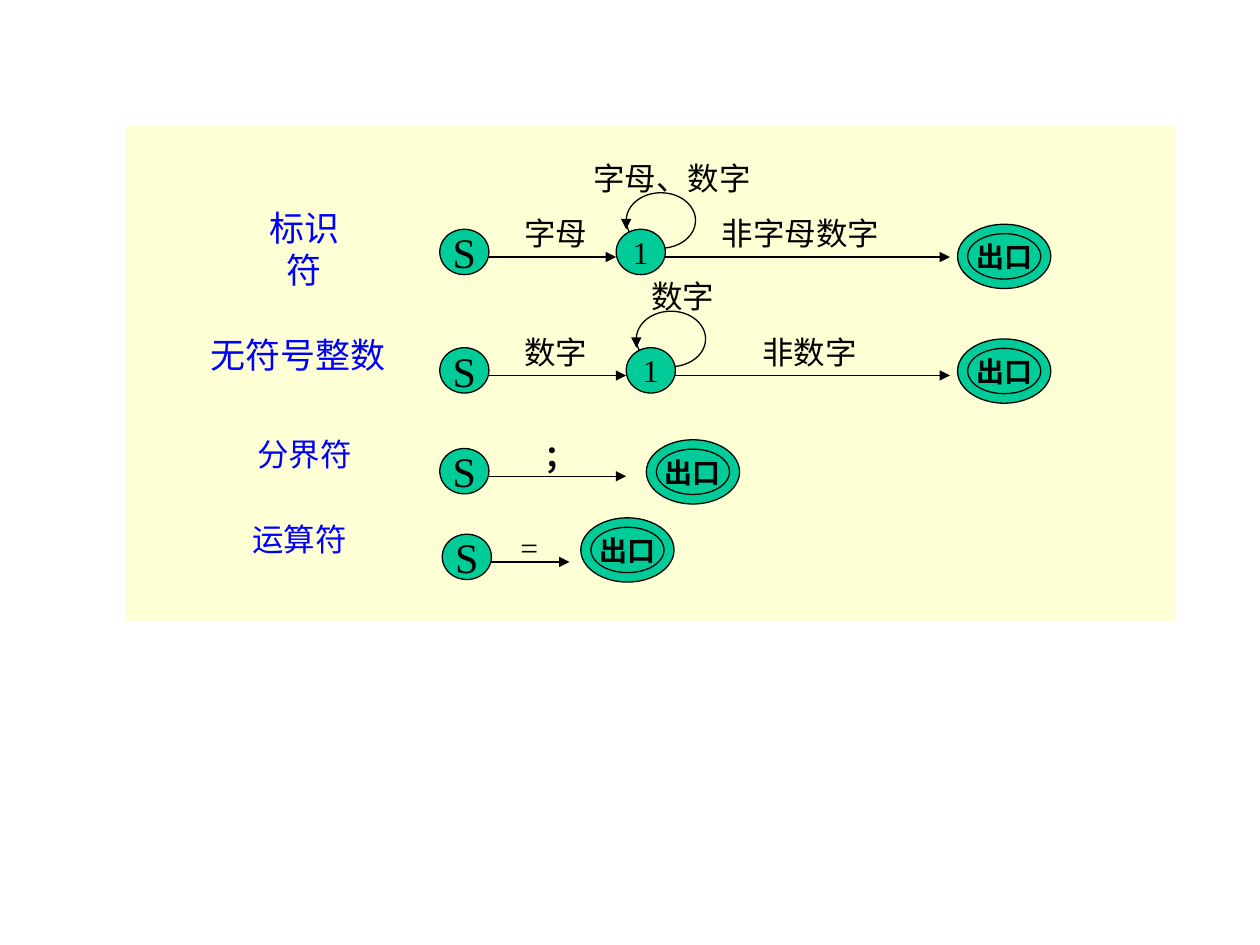
from dataclasses import dataclass

from pptx import Presentation
from pptx import util as u
from pptx.dml.color import RGBColor
from pptx.enum import shapes, text
from pptx.oxml.ns import qn
from lxml import etree

CREAM = RGBColor(0xFF, 0xFF, 0xD5)
GREEN = RGBColor(0x00, 0xCC, 0x99)
BLUE = RGBColor(0x00, 0x00, 0xFF)
BLACK = RGBColor(0x00, 0x00, 0x00)

NODE_W, NODE_H = 0.39, 0.36
EXIT_W, EXIT_H = 0.74, 0.51
RING_W, RING_H = 0.58, 0.36
LOOP_W, LOOP_H = 0.55, 0.44
ARROW_DROP = 0.22  # arrows run this far below the top of the nodes


@dataclass
class Label:
    text: str
    left: float
    top: float
    width: float
    size: int = 18
    color: RGBColor = BLACK
    bold: bool = False


@dataclass
class Automaton:
    start_x: float
    y: float  # top of the nodes
    arrow_end: float
    exit_x: float
    exit_y: float
    labels: list[Label]
    state_x: float | None = None  # looping state, where there is one


AUTOMATA = [
    Automaton(3.49, 1.82, 7.54, 7.6, 1.78, [
        Label("标识符", 1.9, 1.75, 1.03, 20, BLUE),
        Label("非字母数字", 5.63, 1.65, 1.45),
        Label("字母", 4.06, 1.65, 0.7),
        Label("字母、数字", 4.61, 1.21, 1.45),
    ], state_x=4.89),
    Automaton(3.49, 2.76, 7.54, 7.6, 2.69, [
        Label("无符号整数", 1.57, 2.59, 1.59, 20, BLUE),
        Label("非数字", 5.95, 2.59, 0.95),
        Label("数字", 4.06, 2.59, 0.7),
        Label("数字", 5.07, 2.15, 0.7),
    ], state_x=4.97),
    Automaton(3.49, 3.56, 4.97, 5.13, 3.49, [
        Label("分界符", 1.94, 3.4, 0.95, color=BLUE),
        Label("；", 4.22, 3.42, 0.45, bold=True),
    ]),
    Automaton(3.51, 4.24, 4.52, 4.61, 4.11, [
        Label("运算符", 1.9, 4.08, 0.95, color=BLUE),
        Label("=", 4.03, 4.14, 0.34),
    ]),
]


def write(sp, content: str, size: int, color: RGBColor = BLACK, bold: bool = False) -> None:
    tf = sp.text_frame
    tf.word_wrap = False
    tf.vertical_anchor = text.MSO_ANCHOR.MIDDLE
    p = tf.paragraphs[0]
    p.alignment = text.PP_ALIGN.CENTER
    r = p.add_run()
    r.text = content
    r._r.get_or_add_rPr().set("lang", "zh-CN")
    formats = {"name": "Times New Roman", "size": u.Pt(size), "bold": bold}
    for key, value in formats.items():
        setattr(r.font, key, value)
    r.font.color.rgb = color


def add_shape(s, kind, x: float, y: float, w: float, h: float,
              fill: RGBColor | None = None, line: RGBColor = BLACK):
    sp = s.shapes.add_shape(kind, *map(u.Inches, (x, y, w, h)))
    sp.shadow.inherit = False
    if fill is None:
        sp.fill.background()
    else:
        sp.fill.solid()
        sp.fill.fore_color.rgb = fill
    sp.line.color.rgb = line
    sp.line.width = u.Pt(0.75)
    return sp


def add_ellipse(s, x: float, y: float, w: float, h: float, fill: RGBColor | None = None):
    return add_shape(s, shapes.MSO_SHAPE.OVAL, x, y, w, h, fill)


def add_node(s, x: float, y: float, name: str, size: int) -> None:
    write(add_ellipse(s, x, y, NODE_W, NODE_H, GREEN), name, size)


def add_exit(s, x: float, y: float) -> None:
    write(add_ellipse(s, x, y, EXIT_W, EXIT_H, GREEN), "出口", 16, bold=True)
    add_ellipse(s, x + (EXIT_W - RING_W) / 2, y + (EXIT_H - RING_H) / 2, RING_W, RING_H)


def add_arrow(s, x1: float, y1: float, x2: float, y2: float) -> None:
    c = s.shapes.add_connector(shapes.MSO_CONNECTOR.STRAIGHT,
                               *map(u.Inches, (x1, y1, x2, y2)))
    c.line.color.rgb = BLACK
    c.line.width = u.Pt(0.75)
    etree.SubElement(c.line._get_or_add_ln(), qn("a:tailEnd"), type="triangle")
    etree.SubElement(c._element.spPr, qn("a:effectLst"))


def add_label(s, label: Label) -> None:
    height = 0.44 if label.size == 20 else 0.4
    sp = s.shapes.add_textbox(*map(u.Inches, (label.left, label.top, label.width, height)))
    write(sp, label.text, label.size, label.color, label.bold)
    sp.text_frame.auto_size = text.MSO_AUTO_SIZE.SHAPE_TO_FIT_TEXT


def draw_automaton(s, a: Automaton) -> None:
    arrow_y = a.y + ARROW_DROP
    last_x = a.start_x
    if a.state_x is not None:
        # The loop lies behind its state
        loop_x = a.state_x + 0.08
        add_ellipse(s, loop_x, a.y - 0.29, LOOP_W, LOOP_H)
        add_arrow(s, loop_x, a.y - 0.07, loop_x, a.y)
        add_arrow(s, a.start_x + NODE_W, arrow_y, a.state_x, arrow_y)
        add_node(s, a.state_x, a.y, "1", 18)
        last_x = a.state_x
    add_node(s, a.start_x, a.y, "S", 24)
    add_arrow(s, last_x + NODE_W, arrow_y, a.arrow_end, arrow_y)
    add_exit(s, a.exit_x, a.exit_y)
    for label in a.labels:
        add_label(s, label)


def main() -> None:
    prs = Presentation()
    prs.slide_width, prs.slide_height = u.Inches(10), u.Inches(7.5)
    s = prs.slides.add_slide(prs.slide_layouts[6])

    # Background panel
    add_shape(s, shapes.MSO_SHAPE.RECTANGLE, 1, 1, 8.33, 3.92, CREAM, CREAM)

    # One automaton per token class
    for a in AUTOMATA:
        draw_automaton(s, a)

    prs.save("out.pptx")


if __name__ == "__main__":
    main()
